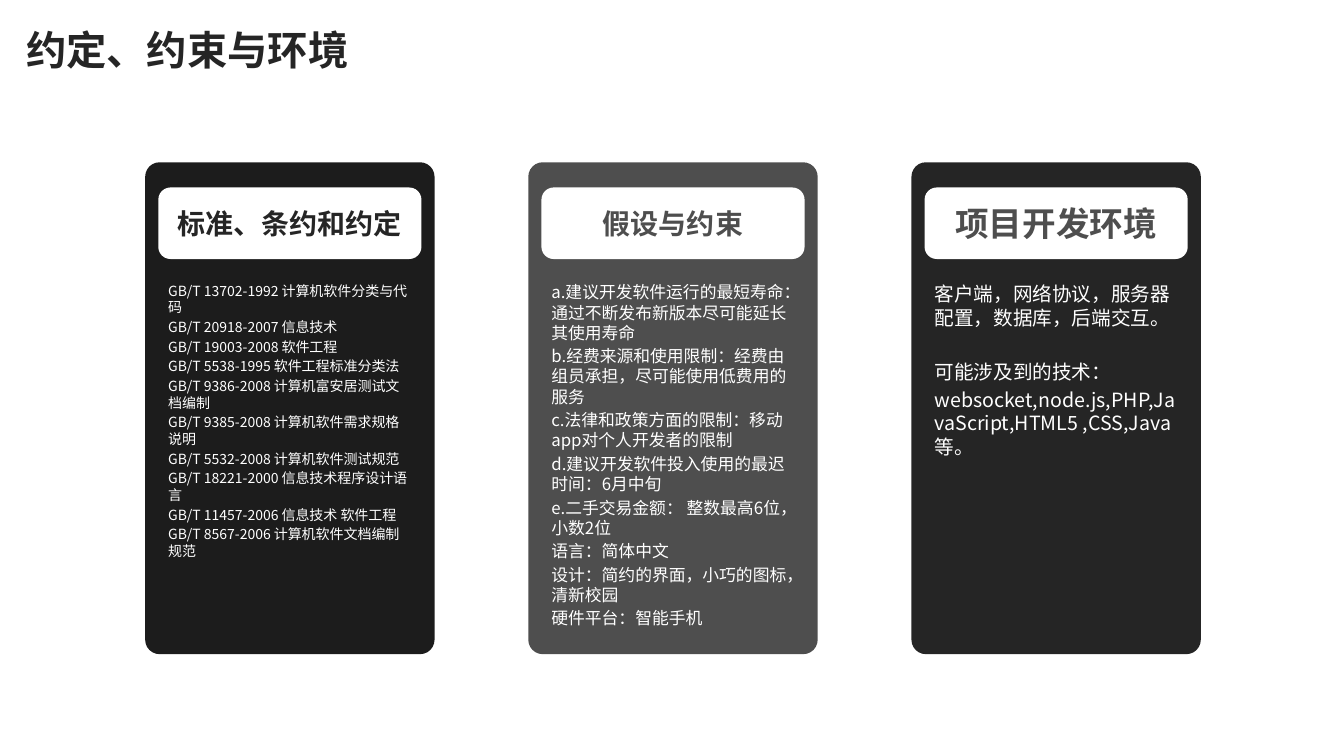
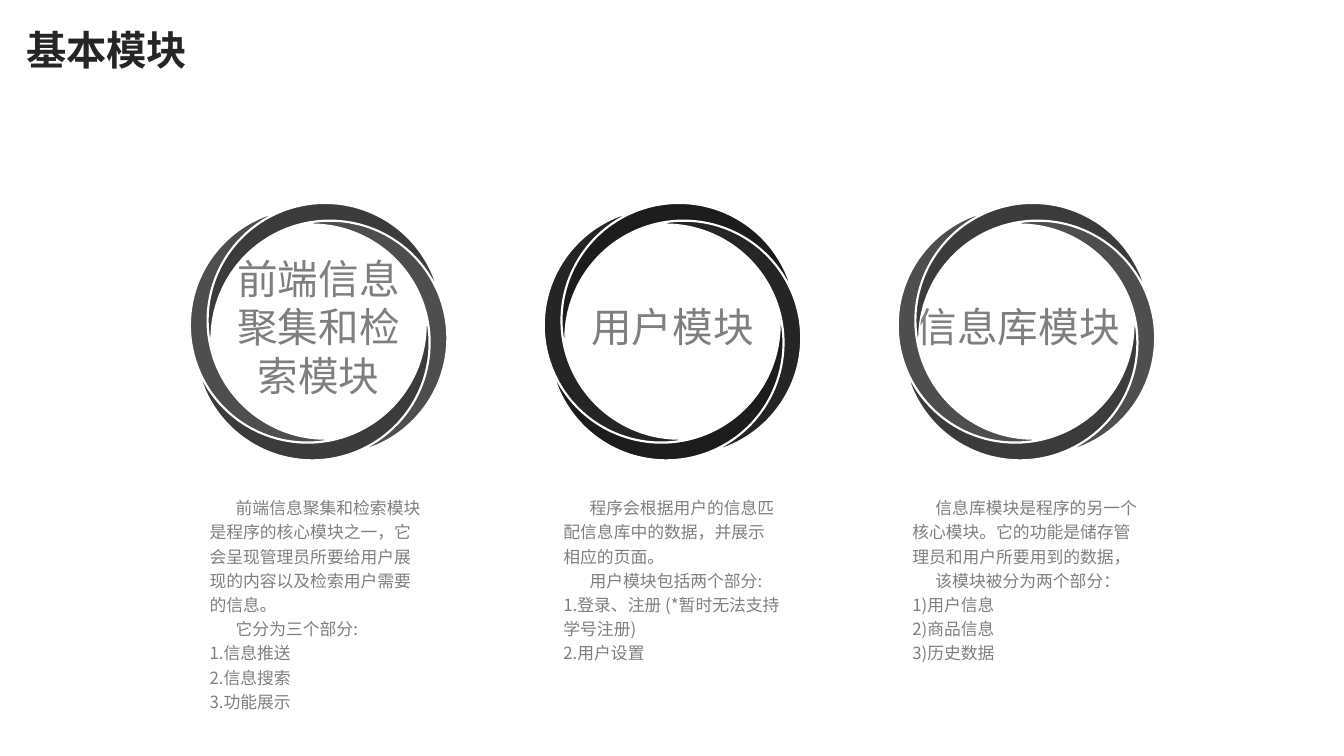
import math
import pptx
import pptx.util
import pptx.dml.color
import pptx.enum.shapes
import pptx.enum.text
import pptx.oxml.ns
from lxml import etree

Inches = pptx.util.Inches
Pt = pptx.util.Pt
RGBColor = pptx.dml.color.RGBColor
SHAPE = pptx.enum.shapes.MSO_SHAPE
ALIGN = pptx.enum.text.PP_ALIGN
ANCHOR = pptx.enum.text.MSO_ANCHOR

WHITE = RGBColor(0xFF, 0xFF, 0xFF)
BLACK = RGBColor(0x1C, 0x1C, 0x1C)
DARK = RGBColor(0x25, 0x25, 0x25)
SLATE = RGBColor(0x3B, 0x3B, 0x3B)
GREY = RGBColor(0x4E, 0x4E, 0x4E)
PALE = RGBColor(0x7F, 0x7F, 0x7F)

FONT = "Noto Sans CJK SC"
HEAD = "Montserrat"

RULES = [
    "GB/T 13702-1992 计算机软件分类与代码",
    "GB/T 20918-2007 信息技术",
    "GB/T 19003-2008 软件工程",
    "GB/T 5538-1995 软件工程标准分类法",
    "GB/T 9386-2008 计算机富安居测试文档编制",
    "GB/T 9385-2008 计算机软件需求规格说明",
    "GB/T 5532-2008 计算机软件测试规范",
    "GB/T 18221-2000 信息技术程序设计语言",
    "GB/T 11457-2006 信息技术 软件工程",
    "GB/T 8567-2006 计算机软件文档编制规范",
]
LIMITS = [
    "a.建议开发软件运行的最短寿命：通过不断发布新版本尽可能延长其使用寿命",
    "b.经费来源和使用限制：经费由组员承担，尽可能使用低费用的服务",
    "c.法律和政策方面的限制：移动app对个人开发者的限制",
    "d.建议开发软件投入使用的最迟时间：6月中旬",
    "e.二手交易金额： 整数最高6位，小数2位",
    "语言：简体中文",
    "设计：简约的界面，小巧的图标，清新校园",
    "硬件平台：智能手机",
]
TOOLS = [
    "客户端，网络协议，服务器配置，数据库，后端交互。",
    "可能涉及到的技术：",
    "websocket,node.js,PHP,JavaScript,HTML5 ,CSS,Java等。",
]
CARDS = [
    dict(fill=BLACK, name="标准、条约和约定", tint=DARK, big=20, lines=RULES, size=10),
    dict(fill=GREY, name="假设与约束", tint=GREY, big=20, lines=LIMITS, size=12),
    dict(fill=DARK, name="项目开发环境", tint=GREY, big=24, lines=TOOLS, size=14,
         gaps={1: 22}),
]
PARTS = [
    dict(hues=(GREY, SLATE), name="前端信息聚集和检索模块", mid=3.16, wide=2.1,
         left=1.98, span=2.34, indent=0.26, lines=[
             "前端信息聚集和检索模块是程序的核心模块之一，它会呈现管理员所要给用户展现的内容以及检索用户需要的信息。",
             "它分为三个部分:", "1.信息推送", "2.信息搜索", "3.功能展示"]),
    dict(hues=(DARK, BLACK), name="用户模块", mid=6.67, wide=2.1,
         left=5.49, span=2.36, indent=0.26, lines=[
             "程序会根据用户的信息匹配信息库中的数据，并展示相应的页面。",
             "用户模块包括两个部分:", "1.登录、注册 (*暂时无法支持学号注册)", "2.用户设置"]),
    dict(hues=(GREY, SLATE), name="信息库模块", mid=10.1, wide=2.39,
         left=8.95, span=2.47, indent=0.23, lines=[
             "信息库模块是程序的另一个核心模块。它的功能是储存管理员和用户所要用到的数据，",
             "该模块被分为两个部分：", "1)用户信息", "2)商品信息", "3)历史数据"]),
]


def write(frame, lines, size, color, font=FONT, bold=False, align=ALIGN.LEFT,
          anchor=ANCHOR.TOP, pitch=None, before=0, gaps=None, indent=0, lead=0):
    frame.word_wrap = True
    frame.vertical_anchor = anchor
    for i, line in enumerate(lines):
        para = frame.paragraphs[0] if i == 0 else frame.add_paragraph()
        para.alignment = align
        if pitch:
            para.line_spacing = pitch
        if i:
            para.space_before = Pt((gaps or {}).get(i, before))
        if i < lead:
            para._p.get_or_add_pPr().set("indent", str(Inches(indent)))
        run = para.add_run()
        run.text = line
        run.font.name = font
        run.font.size = Pt(size)
        run.font.bold = bold
        run.font.color.rgb = color
        east = etree.SubElement(run._r.get_or_add_rPr(), pptx.oxml.ns.qn("a:ea"))
        east.set("typeface", FONT)


def label(slide, x, y, w, h, lines, size, color, **style):
    box = slide.shapes.add_textbox(Inches(x), Inches(y), Inches(w), Inches(h))
    write(box.text_frame, lines, size, color, **style)


def block(slide, kind, x, y, w, h, fill, adjust, line=None):
    shape = slide.shapes.add_shape(kind, Inches(x), Inches(y), Inches(w), Inches(h))
    shape.shadow.inherit = False
    shape.adjustments[0] = adjust
    shape.fill.solid()
    shape.fill.fore_color.rgb = fill
    if line is None:
        shape.line.fill.background()
    else:
        shape.line.color.rgb = line
        shape.line.width = Pt(1)
    return shape


def page(deck, title):
    slide = deck.slides.add_slide(deck.slide_layouts[6])
    label(slide, 0.16, 0.24, 11.5, 0.57, [title], 28.8, DARK, font=HEAD,
          bold=True, anchor=ANCHOR.MIDDLE, pitch=0.9)
    return slide


def card(slide, x, y, w, h, fill, name, tint, big, lines, size, gaps=None):
    block(slide, SHAPE.ROUNDED_RECTANGLE, x, y, w, h, fill, 0.05)
    pad = 0.13
    pill = block(slide, SHAPE.ROUNDED_RECTANGLE, x + pad, y + 0.25,
                 w - 2 * pad, 0.71, WHITE, 0.17)
    write(pill.text_frame, [name], big, tint, bold=True, align=ALIGN.CENTER,
          anchor=ANCHOR.MIDDLE)
    label(slide, x + pad, y + 1.14, w - 2 * pad, h - 1.27, lines, size, WHITE,
          pitch=Pt(size * 1.2), before=size * 0.2, gaps=gaps)


def ring(slide, x, y, hues):
    w, h, reach = 1.16, 2.32, 0.68
    for i in range(4):
        turn = 345.9 + 90 * i
        angle = math.radians(turn + 187.5)
        moon = block(slide, SHAPE.MOON, x + reach * math.cos(angle) - w / 2,
                     y + reach * math.sin(angle) - h / 2, w, h, hues[i % 2],
                     0.15, WHITE)
        moon.rotation = turn % 360


def part(slide, x, y, hues, name, mid, wide, left, span, indent, lines):
    label(slide, mid - wide / 2, y - 0.83, wide, 1.56, [name], 29, PALE,
          align=ALIGN.CENTER, anchor=ANCHOR.MIDDLE, pitch=Pt(34.8))
    label(slide, left, y + 1.56, span, 2.28, lines, 12, PALE,
          pitch=Pt(17.3), indent=indent, lead=2)
    ring(slide, x, y, hues)


def main():
    deck = pptx.Presentation()
    deck.slide_width = Inches(13.33)
    deck.slide_height = Inches(7.5)
    slide = page(deck, "约定、约束与环境")
    for i, data in enumerate(CARDS):
        card(slide, 1.44 + 3.8 * i, 1.61, 2.87, 4.88, **data)
    slide = page(deck, "基本模块")
    for i, data in enumerate(PARTS):
        part(slide, 3.16 + 3.51 * i, 3.29, **data)
    deck.save("out.pptx")


if __name__ == "__main__":
    main()
